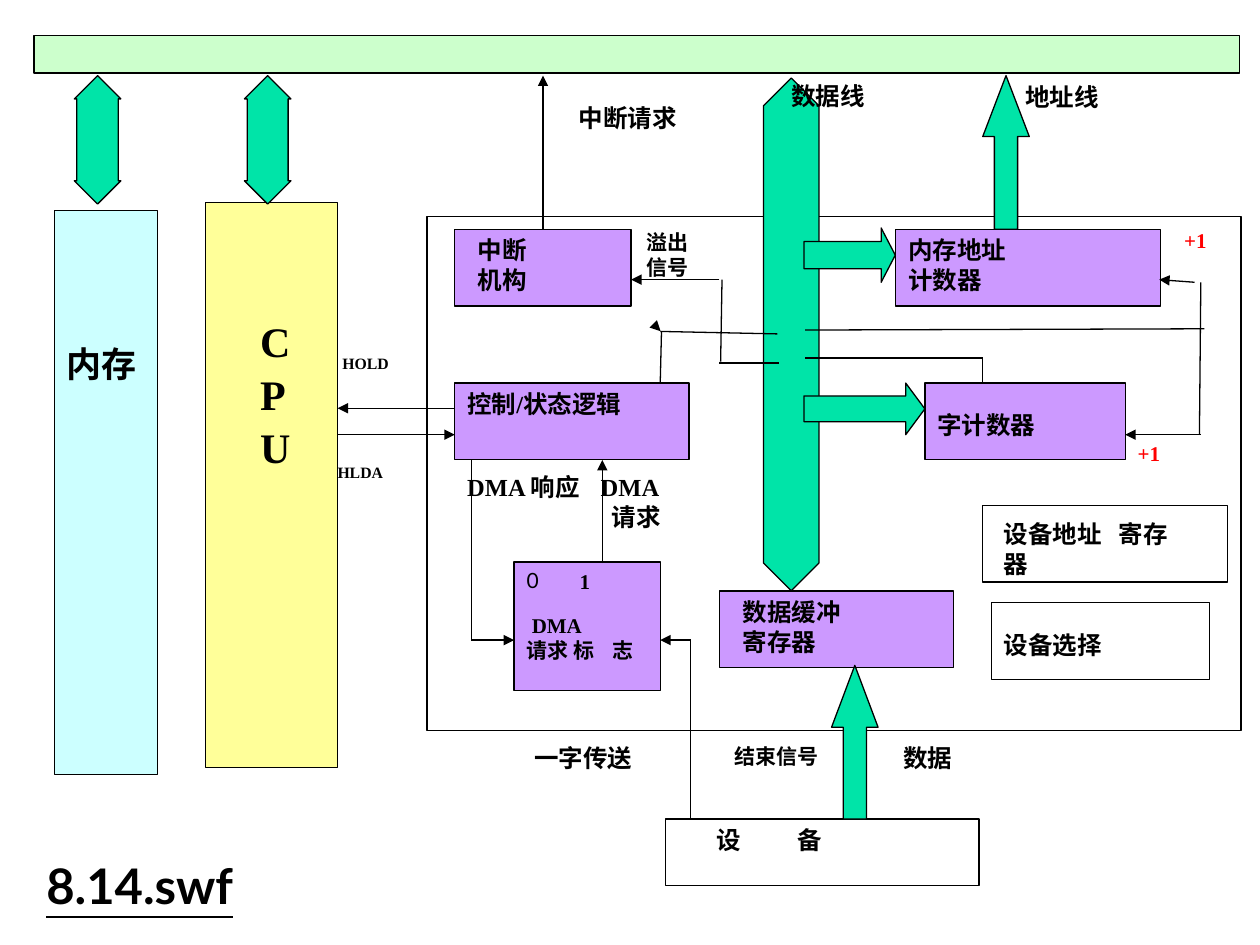
"""Build a slide showing the block diagram of a DMA interface between bus, CPU, memory and device."""
import lxml.etree
import pptx
import pptx.dml.color
import pptx.enum.shapes
import pptx.enum.text
import pptx.oxml.ns
import pptx.util

Pt = pptx.util.Pt
RGB = pptx.dml.color.RGBColor.from_string
qn = pptx.oxml.ns.qn
SHAPE = pptx.enum.shapes.MSO_SHAPE
ALIGN = pptx.enum.text.PP_ALIGN

THEME = {
    "ink": "000000", "alert": "FF0000", "paper": "FFFFFF", "bus": "CCFFCC", "memory": "CCFFFF",
    "cpu": "FFFF99", "unit": "CC99FF", "arrow": "00E4A8",
    "serif": "Times New Roman", "sans": "Lato",
    "tiny": 9, "small": 12, "body": 14, "large": 20, "huge": 24, "title": 28, "line": 0.75,
}

deck = pptx.Presentation()
deck.slide_width, deck.slide_height = Pt(720), Pt(540)
page = deck.slides.add_slide(deck.slide_layouts[6])


def draw(kind, bounds, fill, adjustments=()):
    shape = page.shapes.add_shape(kind, *map(Pt, bounds))
    shape.shadow.inherit = False
    shape.fill.solid()
    shape.fill.fore_color.rgb = RGB(THEME[fill])
    shape.line.color.rgb = RGB(THEME["ink"])
    shape.line.width = Pt(THEME["line"])
    for index, value in enumerate(adjustments):
        shape.adjustments[index] = value
    return shape


def write(box, text, size="body", left=0, top=0, face="serif", color="ink", align=ALIGN.JUSTIFY, tab=None):
    frame = box.text_frame
    frame.word_wrap = True
    frame.vertical_anchor = pptx.enum.text.MSO_ANCHOR.TOP
    frame.margin_left, frame.margin_top = Pt(7.2 + left), Pt(3.6 + top)
    for index, line in enumerate(text.split("\n")):
        para = frame.add_paragraph() if index else frame.paragraphs[0]
        para.text = line
        para.alignment = align
        para.font.name = THEME[face]
        para.font.size = Pt(THEME[size])
        para.font.bold = True
        para.font.color.rgb = RGB(THEME[color])
        if tab:
            stops = lxml.etree.Element(qn("a:tabLst"))
            lxml.etree.SubElement(stops, qn("a:tab"), pos=str(Pt(tab)), algn="l")
            para.font._element.addprevious(stops)
    return frame.paragraphs


boxes = {}
for name, bounds, fill, text, style in [
    ("bus", (19.4, 20.2, 689, 21.6), "bus", "", {}),
    ("memory", (31, 120.2, 59, 322.6), "memory", "内存", {"size": "large", "top": 72}),
    ("cpu", (117.4, 115.9, 75.6, 322.6), "cpu", "C\nP\nU", {"size": "huge", "left": 24, "top": 61}),
    ("controller", (244.1, 123.8, 465.1, 293.8), "paper", "", {}),
    ("interrupt", (259.9, 131, 100.8, 43.9), "unit", "中断\n机构", {"left": 6}),
    ("control", (259.9, 218.9, 133.9, 43.9), "unit", "控制/状态逻辑", {}),
    ("flag", (293.8, 321.1, 83.5, 73.4), "unit", "1\nDMA\n请求 标\t志", {"size": "small", "tab": 49.3}),
    ("buffer", (411.1, 337.7, 133.9, 43.9), "unit", "数据缓冲\n寄存器", {"left": 6}),
    ("select", (566.6, 344.2, 124.6, 43.9), "paper", "设备选择",
     {"face": "sans", "top": 12, "align": ALIGN.LEFT}),
    ("device", (380.2, 468, 179.3, 38.2), "paper", "设\t备", {"left": 22, "tab": 46.3}),
    ("word", (528.5, 218.9, 114.5, 43.9), "unit", "字计数器", {"top": 12, "align": ALIGN.LEFT}),
    ("address", (511.9, 131, 151.2, 43.9), "unit", "内存地址\n计数器", {}),
    ("device address", (561.6, 288.7, 139.7, 43.9), "paper", "", {}),
]:
    boxes[name] = draw(SHAPE.RECTANGLE, bounds, fill)
    if text:
        write(boxes[name], text, **style)

for para in boxes["cpu"].text_frame.paragraphs:
    para.space_after = Pt(1.3)

one, dma, flag_name = boxes["flag"].text_frame.paragraphs
one.space_after = Pt(10.8)
one._p.pPr.set("marL", str(Pt(30.4)))
one._p.pPr.set("indent", str(-Pt(30.4)))
stops = one._p.pPr.find(qn("a:tabLst"))
for tag, key, value in [("a:buFont", "typeface", THEME["sans"]), ("a:buChar", "char", "0")]:
    bullet = lxml.etree.Element(qn(tag))
    bullet.set(key, value)
    stops.addprevious(bullet)
dma._p.pPr.set("marL", str(Pt(3)))

for kind, bounds, head in [
    (SHAPE.UP_DOWN_ARROW, (42.5, 43.2, 26.6, 73.4), 0.89),
    (SHAPE.UP_DOWN_ARROW, (139.7, 43.2, 26.6, 73.4), 0.88),
    (SHAPE.UP_ARROW, (561.6, 43.2, 26.6, 87.8), 1.31),
    (SHAPE.UP_ARROW, (475.2, 380.2, 26.6, 87.8), 1.33),
    (SHAPE.UP_DOWN_ARROW, (436.3, 44.6, 31.7, 293), 2.96),
    (SHAPE.RIGHT_ARROW, (459.4, 130.3, 52.2, 31), 0.26),
    (SHAPE.RIGHT_ARROW, (459.4, 218.9, 69.1, 29.5), 0.37),
]:
    draw(kind, bounds, "arrow", (0.5, head))

heads = [
    (310.3, 131, 310.3, 43.2), (259.9, 233.3, 193, 233.3), (193, 248.4, 259.9, 248.4),
    (344.2, 321.8, 344.2, 262.8), (269.3, 365.8, 293.8, 365.8), (377, 188.8, 377.5, 189.3),
    (682.6, 161.3, 662.4, 159.8), (686.2, 248.4, 643, 248.4), (411.1, 159.8, 360.7, 159.8),
    (394.6, 365.8, 377.3, 365.8),
]
plain = [
    (269.3, 262.8, 269.3, 365.8), (377.3, 218.2, 378, 189.4), (686.2, 161.3, 685.4, 248.4),
    (444.2, 190.8, 377.3, 189.4), (460.1, 188.6, 688.3, 187.9), (412.6, 159.8, 411.8, 206.6),
    (561.6, 204.5, 561.6, 218.9), (394.6, 365.8, 394.6, 468), (411.1, 207.4, 445, 207.4),
    (460.1, 204.5, 561.6, 204.5),
]
wires = []
for ends in heads + plain:
    wire = page.shapes.add_connector(pptx.enum.shapes.MSO_CONNECTOR.STRAIGHT, *map(Pt, ends))
    wire.line.color.rgb = RGB(THEME["ink"])
    wire.line.width = Pt(THEME["line"])
    if ends in heads:
        lxml.etree.SubElement(wire.line._get_or_add_ln(), qn("a:tailEnd"), type="triangle")
    lxml.etree.SubElement(wire._element.spPr, qn("a:effectLst"))
    wires.append(wire)
wires[0].begin_connect(boxes["interrupt"], 0)

labels = {}
for text, bounds, style in [
    ("HLDA", (185.8, 260.6, 67, 37.4), {"size": "tiny"}),
    ("HOLD", (188.6, 198.7, 67, 28.8), {"size": "tiny"}),
    ("中断请求", (314.6, 55.4, 88.6, 35.3), {"align": ALIGN.CENTER}),
    ("数据线", (445, 42.5, 100.8, 43.9), {}),
    ("地址线", (578.9, 43.2, 100.8, 43.9), {}),
    ("DMA 响应", (259.9, 266.4, 100.8, 32.4), {}),
    ("DMA\n请求", (336.2, 266.4, 117.4, 30.2), {}),
    ("+1", (643, 248.4, 54.7, 24.5), {"size": "small", "color": "alert"}),
    ("+1", (669.6, 126.7, 50.4, 32.4), {"size": "small", "color": "alert"}),
    ("一字传送", (298.1, 421.2, 92.9, 43.9), {}),
    ("结束信号", (403.9, 421.2, 79.2, 31), {"size": "small", "align": ALIGN.CENTER}),
    ("数据", (509, 421.2, 67, 34.6), {}),
    ("溢出\n信号", (362.2, 127.4, 86.4, 34.6), {"size": "small"}),
    ("设备地址\t寄存器", (566.6, 290.2, 115.2, 41), {"face": "sans", "align": ALIGN.LEFT, "tab": 65.7, "top": 3}),
    ("8.14.swf", (19.4, 485.3, 157, 41), {"size": "title", "face": "sans", "align": ALIGN.LEFT}),
]:
    labels[text] = write(page.shapes.add_textbox(*map(Pt, bounds)), text, **style)
labels["DMA\n请求"][1]._p.pPr.set("marL", str(Pt(6.2)))
labels["8.14.swf"][0].font.underline = True

deck.save("out.pptx")
